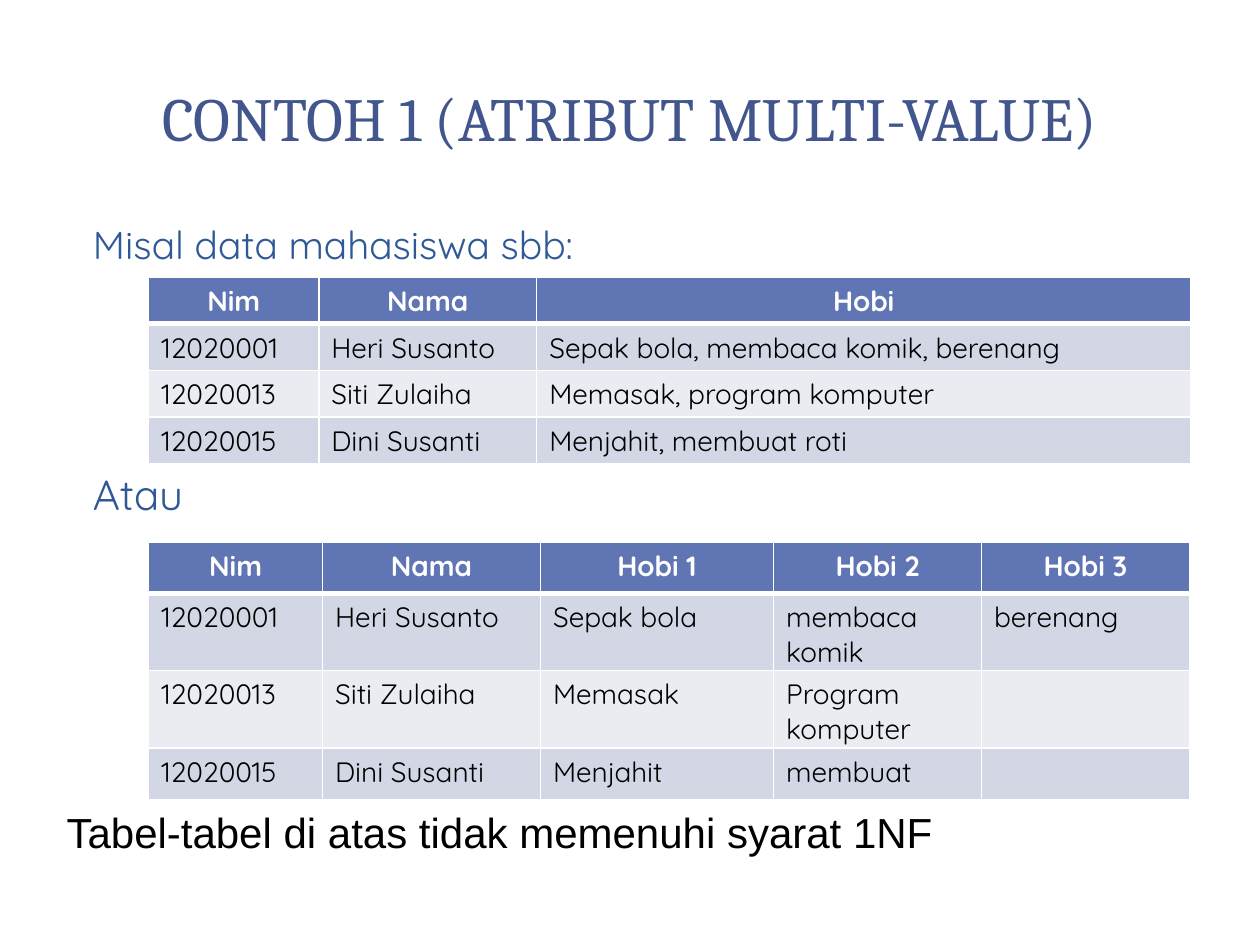
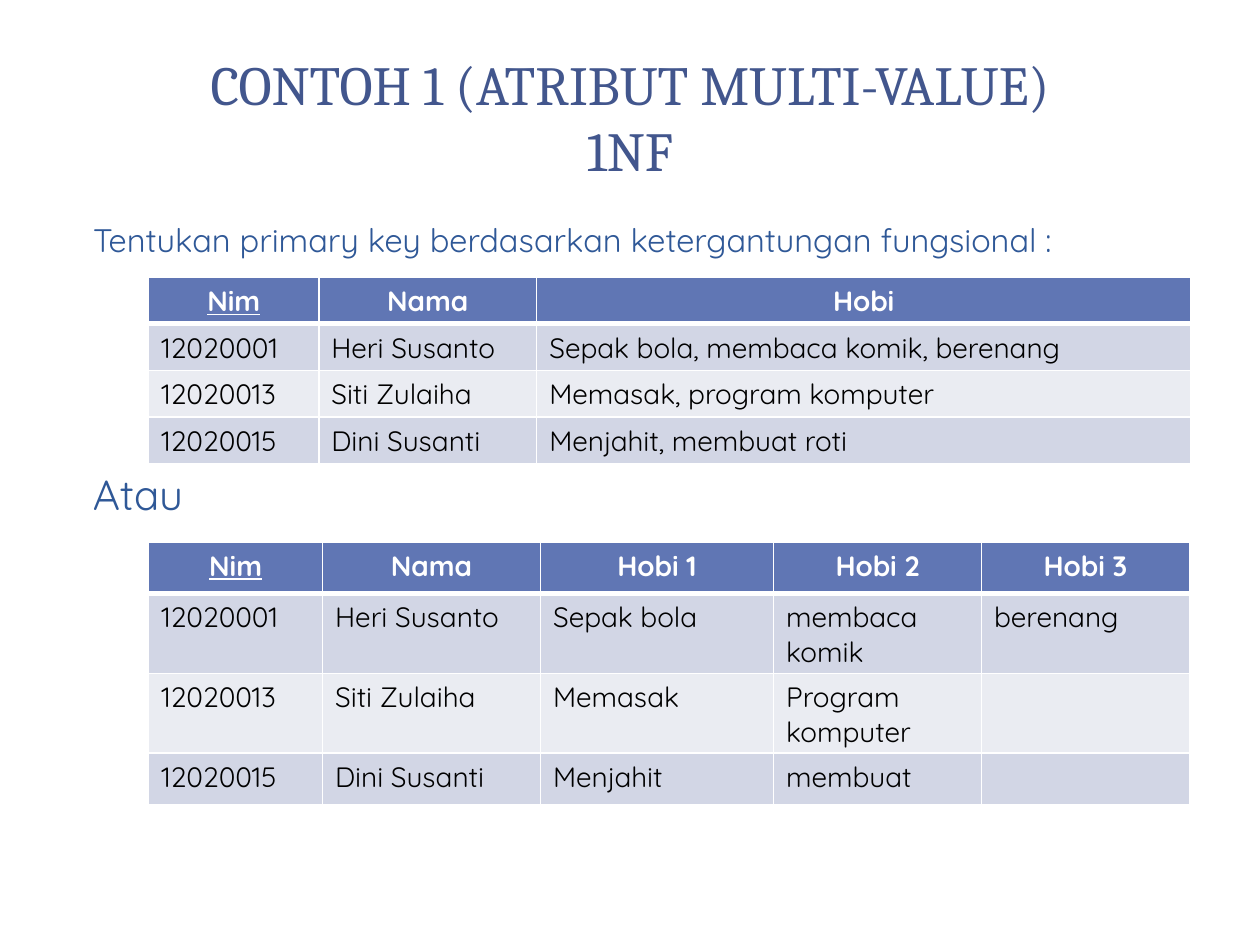
from dataclasses import dataclass

from lxml import etree
from pptx import Presentation
from pptx import util as u
from pptx.dml.color import RGBColor
from pptx.enum import shapes, text
from pptx.oxml import ns


@dataclass(frozen=True)
class Theme:
    """Colours, fonts and type sizes of the deck."""
    white: str = "FFFFFF"
    black: str = "000000"
    title: str = "42568D"
    body: str = "2F5897"
    header: str = "6076B4"
    bands: tuple[str, str] = ("D2D6E5", "EAECF2")
    title_font: str = "Cambria"
    body_font: str = "Quicksand"
    note_font: str = "Arial"
    cell_size: float = 16
    body_size: float = 24


@dataclass(frozen=True)
class Box:
    """Position and size in inches."""
    left: float
    top: float
    width: float
    height: float


@dataclass(frozen=True)
class DataTable:
    """A student table: place, grid and contents."""
    top: float
    row_height: float
    columns: tuple[float, ...]
    rows: tuple[tuple[str, ...], ...]


@dataclass(frozen=True)
class ExampleSlide:
    """The parts in which the example slides differ."""
    title: str
    title_size: float
    intro: str
    intro_size: float
    intro_width: float
    key_underlined: bool
    cell_bottom: float
    note: str = ""


THEME = Theme()
TABLE_LEFT = 1.18
TITLE_PANELS = ((Box(0.3, 0.3, 9.4, 1.45), 83), (Box(0.41, 0.41, 9.17, 1.22), 100))
HOBBY_LIST = DataTable(2.2, 0.37, (1.35, 1.73, 5.19), (
    ("Nim", "Nama", "Hobi"),
    ("12020001", "Heri Susanto", "Sepak bola, membaca komik, berenang"),
    ("12020013", "Siti Zulaiha", "Memasak, program komputer"),
    ("12020015", "Dini Susanti", "Menjahit, membuat roti"),
))
HOBBY_COLUMNS = DataTable(4.3, 0.41, (1.38, 1.73, 1.85, 1.65, 1.65), (
    ("Nim", "Nama", "Hobi 1", "Hobi 2", "Hobi 3"),
    ("12020001", "Heri Susanto", "Sepak bola", "membaca komik", "berenang"),
    ("12020013", "Siti Zulaiha", "Memasak", "Program komputer", ""),
    ("12020015", "Dini Susanti", "Menjahit", "membuat", ""),
))
SLIDES = (
    ExampleSlide("CONTOH 1 (ATRIBUT MULTI-VALUE)", 35, "Misal data mahasiswa sbb:",
                 22.2, 4.66, False, 0.03,
                 "Tabel-tabel di atas tidak memenuhi syarat 1NF"),
    ExampleSlide("CONTOH 1 (ATRIBUT MULTI-VALUE)\n1NF", 31.5,
                 "Tentukan primary key berdasarkan ketergantungan fungsional :",
                 18.6, 8.82, True, 0.05),
)


def write(tf, content: str, *, size: float, color: str, font: str = THEME.body_font,
          align=text.PP_ALIGN.LEFT, bold: bool = False, underline: bool = False):
    """Write one formatted paragraph and return it."""
    p = tf.paragraphs[0]
    p.text = content.replace("\n", "\v")
    p.alignment = align
    for r in p.runs:
        r.font.size, r.font.name = u.Pt(size), font
        r.font.bold, r.font.underline = bold, underline
        r.font.color.rgb = RGBColor.from_string(color)
    return p


def place(box: Box) -> tuple:
    """Convert a box to lengths."""
    return tuple(u.Inches(v) for v in (box.left, box.top, box.width, box.height))


def add_text(s, box: Box, content: str, *, middle: bool = False, **style):
    """Add a wrapping text box and return its paragraph."""
    tf = s.shapes.add_textbox(*place(box)).text_frame
    tf.word_wrap = True
    tf.vertical_anchor = text.MSO_ANCHOR.MIDDLE if middle else text.MSO_ANCHOR.TOP
    return write(tf, content, **style)


def add_body(s, top: float, width: float, content: str, size: float) -> None:
    """Add a body line with a hanging indent."""
    p = add_text(s, Box(0.51, top, width, 0.58), content, size=size, color=THEME.body)
    properties = p._p.get_or_add_pPr()
    properties.set("marL", str(u.Inches(0.38)))
    properties.set("indent", str(u.Inches(-0.25)))


def add_panel(s, box: Box, opacity: int) -> None:
    """Add a white panel behind the title."""
    sp = s.shapes.add_shape(shapes.MSO_SHAPE.RECTANGLE, *place(box))
    sp.shadow.inherit = False
    sp.line.fill.background()
    sp.fill.solid()
    sp.fill.fore_color.rgb = RGBColor.from_string(THEME.white)
    if opacity < 100:
        color = sp._element.spPr.find(".//" + ns.qn("a:srgbClr"))
        etree.SubElement(color, ns.qn("a:alpha"), val=str(opacity * 1000))


def set_borders(cell, top: float, bottom: float) -> None:
    """Give a cell white borders of the given widths in points."""
    properties = cell._tc.get_or_add_tcPr()
    for side, width in (("L", 1), ("R", 1), ("T", top), ("B", bottom)):
        line = etree.SubElement(properties, ns.qn(f"a:ln{side}"), w=str(u.Pt(width)))
        fill = etree.SubElement(line, ns.qn("a:solidFill"))
        etree.SubElement(fill, ns.qn("a:srgbClr"), val=THEME.white)


def add_data_table(s, table: DataTable, key_underlined: bool, cell_bottom: float) -> None:
    """Add a banded table with a header row."""
    box = Box(TABLE_LEFT, table.top, sum(table.columns), table.row_height * len(table.rows))
    grid = s.shapes.add_table(len(table.rows), len(table.columns), *place(box)).table
    for column, width in zip(grid.columns, table.columns):
        column.width = u.Inches(width)
    for i, values in enumerate(table.rows):
        grid.rows[i].height = u.Inches(table.row_height)
        header = i == 0
        for j, value in enumerate(values):
            cell = grid.cell(i, j)
            cell.margin_bottom = u.Inches(cell_bottom)
            set_borders(cell, 3 if i == 1 else 1, 3 if header else 1)
            cell.fill.solid()
            cell.fill.fore_color.rgb = RGBColor.from_string(
                THEME.header if header else THEME.bands[(i - 1) % 2])
            write(cell.text_frame, value, size=THEME.cell_size, bold=header,
                  color=THEME.white if header else THEME.black,
                  align=text.PP_ALIGN.CENTER if header else text.PP_ALIGN.LEFT,
                  underline=header and j == 0 and key_underlined)


def add_example(prs, example: ExampleSlide) -> None:
    """Build one example slide."""
    s = prs.slides.add_slide(prs.slide_layouts[6])
    for box, opacity in TITLE_PANELS:
        add_panel(s, box, opacity)
    add_text(s, Box(0.5, 0.3, 9, 1.25), example.title, middle=True, size=example.title_size,
             color=THEME.title, font=THEME.title_font, align=text.PP_ALIGN.CENTER)
    add_body(s, 1.7, example.intro_width, example.intro, example.intro_size)
    if example.note:
        add_text(s, Box(0.43, 6.35, 7.64, 0.5), example.note, middle=True,
                 size=THEME.body_size, color=THEME.black, font=THEME.note_font)
    add_body(s, 3.67, 4.66, "Atau", THEME.body_size)
    for table in (HOBBY_LIST, HOBBY_COLUMNS):
        add_data_table(s, table, example.key_underlined, example.cell_bottom)


def main() -> None:
    """Build and save the deck."""
    prs = Presentation()
    prs.slide_width, prs.slide_height = u.Inches(10), u.Inches(7.5)
    for example in SLIDES:
        add_example(prs, example)
    prs.save("out.pptx")


if __name__ == "__main__":
    main()
